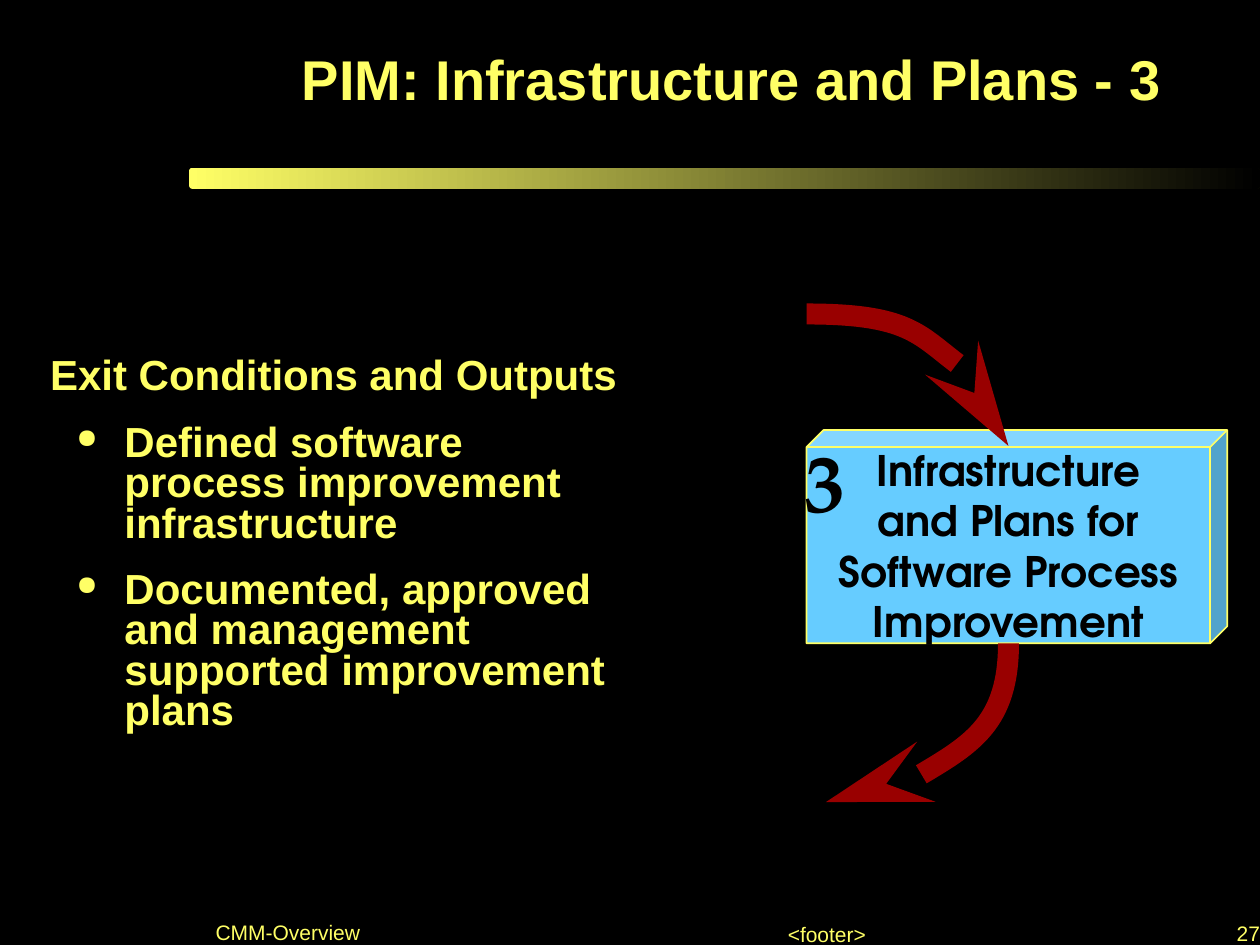
from lxml.etree import SubElement
from pptx import Presentation
from pptx.dml.color import RGBColor
from pptx.enum.shapes import MSO_CONNECTOR, MSO_SHAPE
from pptx.enum.text import MSO_ANCHOR, PP_ALIGN
from pptx.oxml.ns import qn
from pptx.util import Cm, Pt

YELLOW, BLACK, BLUE, RED = "FFFF66", "000000", "66CCFF", "990000"
CENTER, RIGHT = PP_ALIGN.CENTER, PP_ALIGN.RIGHT

TITLE = "PIM: Infrastructure and Plans - 3"
HEADING = "Exit Conditions and Outputs"
OUTPUTS = [
    "Defined software process improvement infrastructure",
    "Documented, approved and management supported improvement plans",
]
STEP_NUMBER = "3"
STEP_LINES = ["Infrastructure", "and Plans for", "Software Process", "Improvement"]
FOOTERS = [
    ("<footer>", (15.47, 18.57, 2.4, 0.51), {"align": CENTER, "wrap": False}),
    ("CMM-Overview", (3.15, 18.24, 5.31, 0.81), {"align": CENTER, "spacing": 0.8}),
    ("27", (24.89, 18.65, 0.51, 0.41), {"align": RIGHT, "spacing": 0.8}),
]
ARROWS = [
    ((16.26, 6.33, 20.33, 8.99), 0),
    ((16.89, 12.73, 20.09, 16.41), 90),
]


def color(value):
    return RGBColor.from_string(value)


def lengths(values):
    return [Cm(value) for value in values]


def add_bullet(paragraph):
    properties = paragraph._p.get_or_add_pPr()
    properties.set("marL", str(Cm(1.5)))
    properties.set("indent", str(-Cm(0.97)))
    bullet_color = SubElement(properties, qn("a:buClr"))
    SubElement(bullet_color, qn("a:srgbClr"), val=YELLOW)
    SubElement(properties, qn("a:buSzPct"), val="64000")
    SubElement(properties, qn("a:buChar"), char="●")


def write_text(shape, lines, size=12, font="Arial", ink=YELLOW, bold=False,
               align=PP_ALIGN.LEFT, anchor=MSO_ANCHOR.MIDDLE, spacing=None,
               before=0, margins=(0, 0), wrap=True, bulleted=()):
    frame = shape.text_frame
    frame.word_wrap = wrap
    frame.vertical_anchor = anchor
    frame.margin_left = frame.margin_right = Cm(margins[0])
    frame.margin_top = frame.margin_bottom = Cm(margins[1])
    for index, line in enumerate(lines):
        paragraph = frame.add_paragraph() if index else frame.paragraphs[0]
        paragraph.alignment = align
        if spacing:
            paragraph.line_spacing = spacing
        if index and before:
            paragraph.space_before = Pt(before)
        if line in bulleted:
            paragraph.level = 1
            add_bullet(paragraph)
        run = paragraph.add_run()
        run.text = line
        run.font.size = Pt(size)
        run.font.name = font
        run.font.bold = bold
        run.font.color.rgb = color(ink)


def add_text(slide, box, lines, **text_format):
    write_text(slide.shapes.add_textbox(*lengths(box)), lines, **text_format)


def add_bar(slide):
    bar = slide.shapes.add_shape(
        MSO_SHAPE.ROUNDED_RECTANGLE, *lengths((3.81, 3.38, 21.59, 0.43)))
    bar.shadow.inherit = False
    bar.adjustments[0] = 0.17
    bar.line.fill.background()
    bar.fill.gradient()
    bar.fill.gradient_angle = 0
    for stop, value, position in zip(bar.fill.gradient_stops, (YELLOW, BLACK), (0, 1)):
        stop.color.rgb = color(value)
        stop.position = position


def add_step(slide):
    cube = slide.shapes.add_shape(MSO_SHAPE.CUBE, *lengths((16.26, 8.67, 8.48, 4.3)))
    cube.shadow.inherit = False
    cube.adjustments[0] = 0.08
    cube.fill.solid()
    cube.fill.fore_color.rgb = color(BLUE)
    cube.line.color.rgb = color(YELLOW)
    cube.line.width = Pt(1)
    write_text(cube, STEP_LINES, size=24, font="TeX Gyre Adventor", ink=BLACK,
               bold=True, align=CENTER, margins=(0.25, 0.13), wrap=False)
    add_text(slide, (16.22, 8.68, 0.94, 1.98), [STEP_NUMBER], size=47,
             font="TeX Gyre Pagella", ink=BLACK, bold=True, wrap=False)


def add_arrow(slide, ends, rotation):
    arrow = slide.shapes.add_connector(MSO_CONNECTOR.CURVE, *lengths(ends))
    arrow.line.color.rgb = color(RED)
    arrow.line.width = Pt(12)
    properties = arrow._element.spPr
    properties.find(qn("a:prstGeom")).set("prst", "curvedConnector2")
    if rotation:
        properties.find(qn("a:xfrm")).set("rot", str(rotation * 60000))
    SubElement(arrow.line._get_or_add_ln(), qn("a:tailEnd"),
               type="stealth", w="med", len="lg")
    SubElement(properties, qn("a:effectLst"))


def main():
    presentation = Presentation()
    presentation.slide_width, presentation.slide_height = Cm(25.4), Cm(19.05)
    slide = presentation.slides.add_slide(presentation.slide_layouts[6])
    slide.background.fill.solid()
    slide.background.fill.fore_color.rgb = color(BLACK)

    add_bar(slide)
    add_text(slide, (4.11, 0, 21.29, 3.4), [TITLE], size=32, bold=True,
             align=CENTER, spacing=0.8)
    add_text(slide, (0.76, 3.81, 12.17, 14.4), [HEADING, *OUTPUTS], size=24,
             bold=True, spacing=0.8, before=15, margins=(0.25, 0.13),
             bulleted=OUTPUTS)
    add_step(slide)
    for ends, rotation in ARROWS:
        add_arrow(slide, ends, rotation)
    for text, box, text_format in FOOTERS:
        add_text(slide, box, [text], anchor=MSO_ANCHOR.BOTTOM, **text_format)

    presentation.save("out.pptx")


if __name__ == "__main__":
    main()
